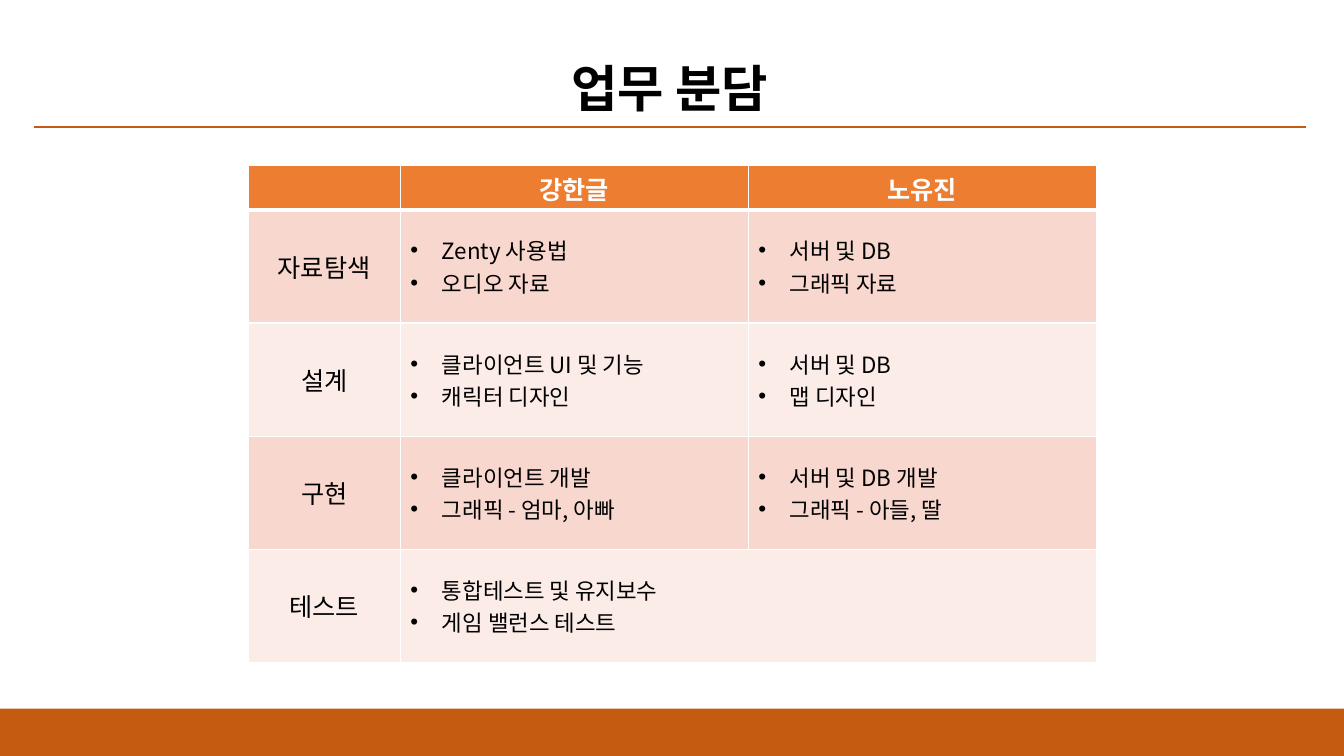
from lxml import etree
from pptx import Presentation, util as u
from pptx.dml.color import RGBColor
from pptx.enum import shapes, text
from pptx.oxml.ns import qn

Pt = u.Pt
FONT = "Noto Sans CJK KR"
HUES = {
    "ink": "000000",
    "white": "FFFFFF",
    "rust": "C55A11",
    "head": "ED7D31",
    "odd": "F8D7CE",
    "even": "FCECE8",
}
COLS = [108.9, 248.5, 248.5]
ROWS = [31.5] + [80.9] * 4
HEADS = ["", "강한글", "노유진"]
TASKS = [
    ("자료탐색", ["Zenty 사용법", "오디오 자료"], ["서버 및 DB", "그래픽 자료"]),
    ("설계", ["클라이언트 UI 및 기능", "캐릭터 디자인"], ["서버 및 DB", "맵 디자인"]),
    ("구현", ["클라이언트 개발", "그래픽 - 엄마, 아빠"], ["서버 및 DB 개발", "그래픽 - 아들, 딸"]),
    ("테스트", ["통합테스트 및 유지보수", "게임 밸런스 테스트"], []),
]


def color(name):
    return RGBColor.from_string(HUES[name])


def paint(item, name):
    item.fill.solid()
    item.fill.fore_color.rgb = color(name)


def style(para, size, hue="ink", bold=False):
    font = para.font
    font.name, font.size, font.bold = FONT, Pt(size), bold
    font.color.rgb = color(hue)
    props = para._p.pPr.find(qn("a:defRPr"))
    etree.SubElement(props, qn("a:ea"), typeface=FONT)


def bullet(para):
    props = para._p.get_or_add_pPr()
    props.set("marL", str(Pt(22.5)))
    props.set("indent", str(-Pt(22.5)))
    etree.SubElement(props, qn("a:buFont"), typeface="Arial")
    etree.SubElement(props, qn("a:buChar"), char="•")


def border(cell, top, bottom):
    props = cell._tc.get_or_add_tcPr()
    for side, width in zip("LRTB", (1, 1, top, bottom)):
        line = etree.SubElement(props, qn("a:ln" + side), w=str(Pt(width)))
        fill = etree.SubElement(line, qn("a:solidFill"))
        etree.SubElement(fill, qn("a:srgbClr"), val=HUES["white"])


def label(cell, words, hue="ink", bold=False):
    para = cell.text_frame.paragraphs[0]
    para.text = words
    para.alignment = text.PP_ALIGN.CENTER
    style(para, 18, hue, bold)


def items(cell, lines):
    cell.text = "\n".join(lines)
    for para in cell.text_frame.paragraphs:
        bullet(para)
        style(para, 16)


def title(slide, x, y, w, h):
    box = slide.shapes.add_textbox(Pt(x + w / 2 - 86.4), Pt(y), Pt(172.8), Pt(51))
    frame = box.text_frame
    frame.word_wrap = False
    frame.auto_size = text.MSO_AUTO_SIZE.SHAPE_TO_FIT_TEXT
    para = frame.paragraphs[0]
    para.text = "업무 분담"
    para.alignment = text.PP_ALIGN.CENTER
    style(para, 36, bold=True)
    rule = slide.shapes.add_connector(
        shapes.MSO_CONNECTOR.STRAIGHT, Pt(x), Pt(y + h), Pt(x + w), Pt(y + h))
    rule.line.color.rgb = color("rust")
    rule.line.width = Pt(1.5)
    etree.SubElement(rule._element.spPr, qn("a:effectLst"))


def footer(slide, x, y, w, h):
    bar = slide.shapes.add_shape(
        shapes.MSO_SHAPE.RECTANGLE, Pt(x), Pt(y), Pt(w), Pt(h))
    bar.shadow.inherit = False
    paint(bar, "rust")
    bar.line.fill.background()


def duties(slide, x, y, w, h):
    table = slide.shapes.add_table(
        len(ROWS), len(COLS), Pt(x), Pt(y), Pt(w), Pt(h)).table
    table.horz_banding = False
    for col, width in zip(table.columns, COLS):
        col.width = Pt(width)
    for r, (row, height) in enumerate(zip(table.rows, ROWS)):
        row.height = Pt(height)
        for cell in row.cells:
            border(cell, 3 if r == 1 else 1, 3 if r == 0 else 1)
            paint(cell, "head" if r == 0 else "odd" if r % 2 else "even")
            cell.vertical_anchor = text.MSO_ANCHOR.MIDDLE
    for c, name in enumerate(HEADS):
        label(table.cell(0, c), name, "white", True)
    for r, (stage, *lists) in enumerate(TASKS, 1):
        label(table.cell(r, 0), stage)
        for c, lines in enumerate(lists, 1):
            if lines:
                items(table.cell(r, c), lines)
            else:
                table.cell(r, c - 1).merge(table.cell(r, c))


def main():
    deck = Presentation()
    deck.slide_width, deck.slide_height = Pt(960), Pt(540)
    slide = deck.slides.add_slide(deck.slide_layouts[6])
    title(slide, 24, 37.4, 908.6, 53.3)
    footer(slide, 0, 506.2, 960, 33.8)
    duties(slide, 177.1, 118.3, sum(COLS), sum(ROWS))
    deck.save("out.pptx")


if __name__ == "__main__":
    main()
